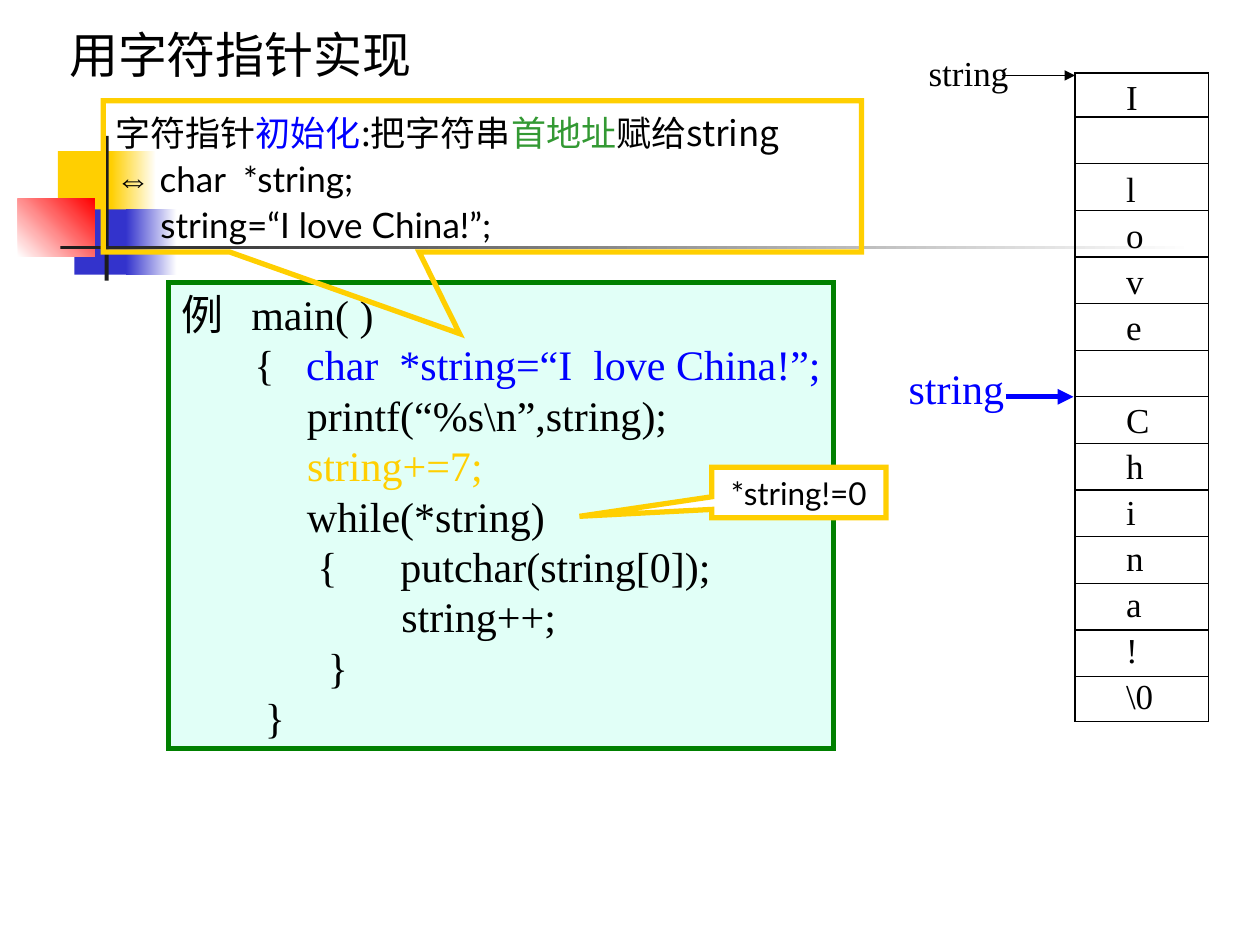
from dataclasses import dataclass
from typing import NamedTuple, Optional

from lxml.etree import SubElement
from pptx import Presentation
from pptx.dml.color import RGBColor
from pptx.enum.shapes import MSO_CONNECTOR, MSO_SHAPE
from pptx.enum.text import MSO_ANCHOR, MSO_AUTO_SIZE, PP_ALIGN
from pptx.oxml.ns import qn
from pptx.util import Cm, Pt


@dataclass(frozen=True)
class Theme:
    black: str = "000000"
    white: str = "FFFFFF"
    blue: str = "0000FF"
    gold: str = "FFCF01"
    green: str = "339933"
    border: str = "008000"
    mint: str = "E1FFF7"
    indigo: str = "3333CC"
    red: str = "FF0000"
    charcoal: str = "1C1C1C"
    serif: str = "Times New Roman"
    sans: str = "Lato"
    chinese: str = "Noto Sans CJK SC"
    symbol: str = "Arial"
    title: int = 28
    code: int = 24
    body: int = 20
    note: int = 18
    thin: float = 0.75
    thick: float = 3


THEME = Theme()


class Area(NamedTuple):
    left: float
    top: float
    width: float
    height: float


class Span(NamedTuple):
    text: str
    font: str = THEME.serif
    color: str = THEME.black


@dataclass(frozen=True)
class Ornament:
    area: Area
    start: str
    end: Optional[str] = None
    angle: int = 0


@dataclass(frozen=True)
class Cell:
    text: str
    width: float


ORNAMENTS = [
    Ornament(Area(1.17, 3.05, 1.22, 1.32), THEME.gold),
    Ornament(Area(2.24, 3.05, 0.91, 1.32), THEME.gold, THEME.white),
    Ornament(Area(1.5, 4.22, 1.17, 1.32), THEME.indigo),
    Ornament(Area(2.54, 4.22, 1.02, 1.32), THEME.indigo, THEME.white),
    Ornament(Area(0.36, 4.01, 1.55, 1.17), THEME.white, THEME.red, 45),
    Ornament(Area(2.11, 2.74, 0.08, 2.92), THEME.charcoal),
    Ornament(Area(1.22, 4.95, 22.86, 0.08), THEME.charcoal, THEME.white),
]

CODE = [
    [Span("例   main( )")],
    [Span("       {   "), Span("char  *string=“I  love China!”;", color=THEME.blue)],
    [Span("            printf(“%s\\n”,string);")],
    [Span("            "), Span("string+=7;", color=THEME.gold)],
    [Span("            while(*string)")],
    [Span("             {      putchar(string[0]);")],
    [Span("                     string++;")],
    [Span("              }")],
    [Span("        }")],
]

EXPLANATION = [
    [
        Span("字符指针", THEME.chinese),
        Span("初始化", THEME.chinese, THEME.blue),
        Span(":把字符串", THEME.chinese),
        Span("首地址", THEME.chinese, THEME.green),
        Span("赋给string", THEME.chinese),
    ],
    [Span("⇔", THEME.symbol), Span(" char  *string;", THEME.sans)],
    [Span("     string=“I love China!”;", THEME.sans)],
]

CELLS = [
    Cell("I", 0.74), Cell("", 0), Cell("l", 0.69), Cell("o", 0.86), Cell("v", 0.86),
    Cell("e", 0.81), Cell("", 0), Cell("C", 0.99), Cell("h", 0.86), Cell("i", 0.69),
    Cell("n", 0.86), Cell("a", 0.81), Cell("!", 0.74), Cell("\\0", 1.15),
]
COLUMN = Area(21.67, 1.47, 2.69, 13.08)


def rgb(color: str) -> RGBColor:
    return RGBColor.from_string(color)


def lengths(area: Area) -> list:
    return [Cm(value) for value in area]


def write(frame, lines: list, size: int, align=PP_ALIGN.LEFT, spacing: float = 1) -> None:
    for index, line in enumerate(lines):
        para = frame.add_paragraph() if index else frame.paragraphs[0]
        para.alignment = align
        para.line_spacing = spacing
        for item in line:
            span = para.add_run()
            span.text = item.text
            span.font.size = Pt(size)
            span.font.name = item.font
            span.font.color.rgb = rgb(item.color)
            if any("一" <= letter <= "鿿" for letter in item.text):
                east_asian = SubElement(span.font._element, qn("a:ea"))
                east_asian.set("typeface", THEME.chinese)


def fit(frame, anchor) -> None:
    frame.word_wrap = False
    frame.auto_size = MSO_AUTO_SIZE.SHAPE_TO_FIT_TEXT
    frame.vertical_anchor = anchor


def draw_shape(shapes, kind, area: Area, fill: Optional[str], line: Optional[str], weight: float = 0):
    shape = shapes.add_shape(kind, *lengths(area))
    shape.shadow.inherit = False
    if fill:
        shape.fill.solid()
        shape.fill.fore_color.rgb = rgb(fill)
    else:
        shape.fill.background()
    if line:
        shape.line.color.rgb = rgb(line)
        shape.line.width = Pt(weight)
        SubElement(shape.line._get_or_add_ln(), qn("a:miter")).set("lim", "800000")
    else:
        shape.line.fill.background()
    return shape


def draw_ornament(shapes, ornament: Ornament) -> None:
    shape = draw_shape(shapes, MSO_SHAPE.RECTANGLE, ornament.area, ornament.start, None)
    if ornament.end:
        shape.fill.gradient()
        shape.fill.gradient_angle = ornament.angle
        for stop, color in zip(shape.fill.gradient_stops, (ornament.start, ornament.end)):
            stop.color.rgb = rgb(color)


def draw_callout(shapes, area: Area, fill: Optional[str], pointer: tuple):
    shape = draw_shape(shapes, MSO_SHAPE.RECTANGULAR_CALLOUT, area, fill, THEME.gold, THEME.thick)
    shape.adjustments[0], shape.adjustments[1] = pointer
    fit(shape.text_frame, MSO_ANCHOR.MIDDLE)
    return shape.text_frame


def draw_label(shapes, area: Area, span: Span, size: int,
               align=PP_ALIGN.LEFT, anchor=MSO_ANCHOR.TOP) -> None:
    box = shapes.add_textbox(*lengths(area))
    fit(box.text_frame, anchor)
    write(box.text_frame, [[span]], size, align)


def draw_line(shapes, left: float, right: float, height: float, color: str,
              weight: float, arrow: bool = False) -> None:
    line = shapes.add_connector(MSO_CONNECTOR.STRAIGHT, Cm(left), Cm(height), Cm(right), Cm(height))
    line.line.color.rgb = rgb(color)
    line.line.width = Pt(weight)
    if arrow:
        SubElement(line.line._get_or_add_ln(), qn("a:tailEnd")).set("type", "triangle")
    SubElement(line._element.spPr, qn("a:effectLst"))


def draw_memory(shapes) -> None:
    draw_shape(shapes, MSO_SHAPE.RECTANGLE, COLUMN, None, THEME.black, THEME.thin)
    for index, cell in enumerate(CELLS):
        if index:
            draw_line(shapes, COLUMN.left, COLUMN.left + COLUMN.width,
                      2.36 + 0.94 * (index - 1), THEME.black, THEME.thin)
        if cell.text:
            area = Area(22.45, 1.39 + 0.93 * index, cell.width, 1.12)
            draw_label(shapes, area, Span(cell.text), THEME.body)
    draw_line(shapes, 20.19, COLUMN.left, 1.52, THEME.black, THEME.thin, True)
    draw_label(shapes, Area(18.47, 0.91, 2.15, 1.12), Span("string"), THEME.body)


def main() -> None:
    deck = Presentation()
    deck.slide_width, deck.slide_height = Cm(25.4), Cm(19.05)
    page = deck.slides.add_slide(deck.slide_layouts[5])
    shapes = page.shapes

    title = shapes.title
    title.left, title.top, title.width, title.height = lengths(Area(1.14, 0.91, 21.59, 0.89))
    title.text_frame.vertical_anchor = MSO_ANCHOR.BOTTOM
    title.text_frame.auto_size = MSO_AUTO_SIZE.NONE
    write(title.text_frame, [[Span("用字符指针实现", THEME.sans)]], THEME.title)

    for ornament in ORNAMENTS:
        draw_ornament(shapes, ornament)

    listing = draw_shape(shapes, MSO_SHAPE.RECTANGLE, Area(3.4, 5.69, 13.41, 9.4),
                         THEME.mint, THEME.border, THEME.thick)
    fit(listing.text_frame, MSO_ANCHOR.TOP)
    write(listing.text_frame, CODE, THEME.code)

    draw_memory(shapes.add_group_shape().shapes)

    explanation = draw_callout(shapes, Area(2.08, 2.03, 15.29, 3.05), None, (-0.03, 1.04))
    write(explanation, EXPLANATION, THEME.body, spacing=1.1)

    pointer = shapes.add_group_shape().shapes
    draw_line(pointer, 20.27, 21.64, 8, THEME.blue, THEME.thick, True)
    draw_label(pointer, Area(18.04, 7.19, 2.48, 1.27), Span("string", color=THEME.blue),
               THEME.code, PP_ALIGN.CENTER, MSO_ANCHOR.MIDDLE)

    condition = draw_callout(shapes, Area(14.35, 9.42, 3.51, 1.02), THEME.white, (-1.26, 0.47))
    write(condition, [[Span("*string!=0", THEME.sans)]], THEME.note, PP_ALIGN.CENTER)

    deck.save("out.pptx")


if __name__ == "__main__":
    main()
